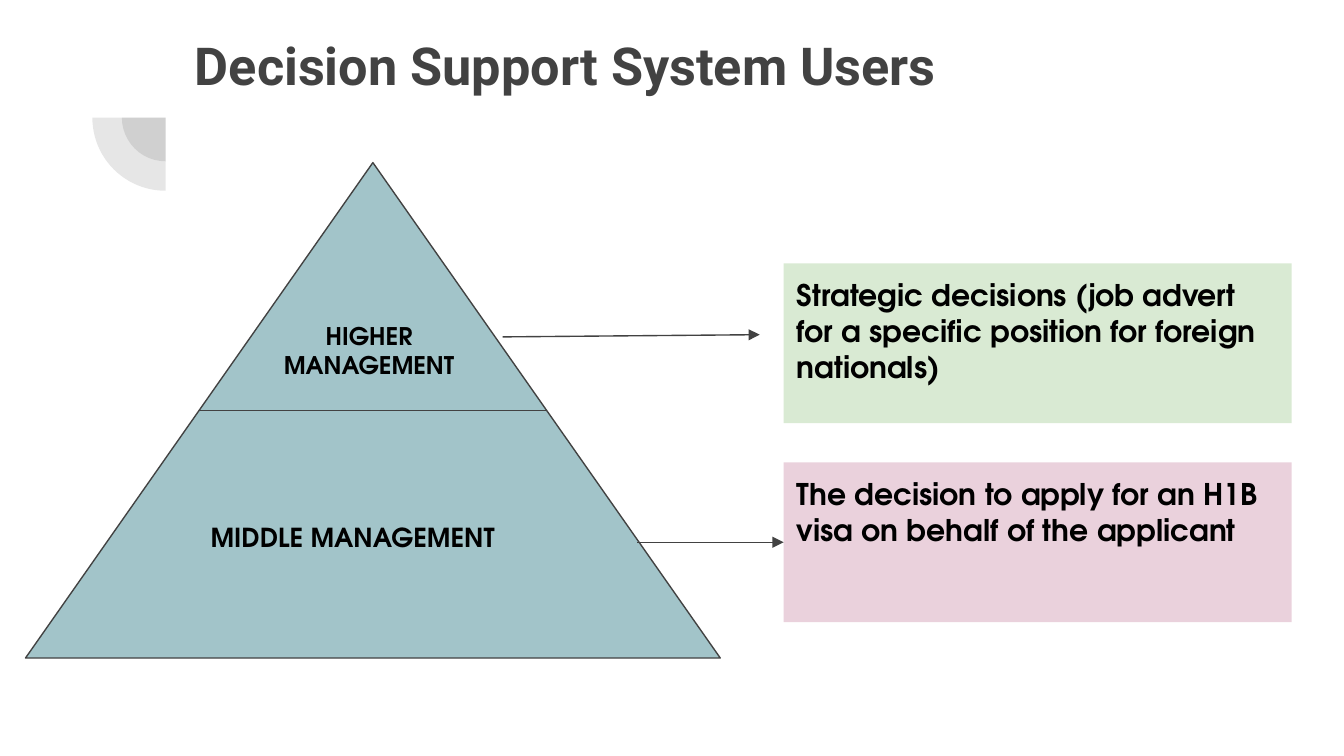
from lxml.etree import SubElement as Sub
from pptx import Presentation
from pptx.dml.color import RGBColor as RGB
from pptx.enum.shapes import MSO_CONNECTOR as Conn, MSO_SHAPE as Kind
from pptx.enum.text import MSO_ANCHOR as Anchor, MSO_AUTO_SIZE as Fit, PP_ALIGN as Align
from pptx.oxml.ns import qn
from pptx.util import Pt

HEX = {"ink": "424242", "text": "000000", "teal": "A2C4C9",
       "green": "D9EAD3", "pink": "EAD1DC"}
BODY, HEAD = "TeX Gyre Adventor", "Roboto"


class Deck:
    def __init__(self, wide, high):
        self.prs = Presentation()
        self.prs.slide_width, self.prs.slide_height = Pt(wide), Pt(high)
        self.slide = self.prs.slides.add_slide(self.prs.slide_layouts[5])

    def color(self, name):
        return RGB.from_string(HEX[name])

    def text(self, shape, words, size, font=BODY, ink="text", align=Align.LEFT):
        frame = shape.text_frame
        frame.word_wrap, frame.auto_size = True, Fit.NONE
        frame.vertical_anchor = Anchor.TOP
        frame.margin_left = frame.margin_right = Pt(7.2)
        frame.margin_top = frame.margin_bottom = Pt(7.2)
        para = frame.paragraphs[0]
        para.alignment = align
        run = para.add_run()
        run.text = words
        run.font.name, run.font.size, run.font.bold = font, Pt(size), True
        run.font.color.rgb = self.color(ink)

    def title(self, words, x, y, w, h):
        shape = self.slide.shapes.title
        shape.left, shape.top, shape.width, shape.height = map(Pt, (x, y, w, h))
        self.text(shape, words, 28, HEAD, "ink")

    def shape(self, kind, x, y, w, h, fill, line=None):
        shape = self.slide.shapes.add_shape(kind, *map(Pt, (x, y, w, h)))
        shape.shadow.inherit = False
        shape.fill.solid()
        shape.fill.fore_color.rgb = self.color(fill)
        if line:
            shape.line.color.rgb = self.color(line)
            shape.line.width = Pt(0.75)
        else:
            shape.line.fill.background()
        return shape

    def pie(self, x, y, r):
        """Draw a faint lower-left quarter disc centred on x, y."""
        pie = self.shape(Kind.PIE, x - r, y - r, 2 * r, 2 * r, "ink")
        pie.rotation = 270
        pie.adjustments[0], pie.adjustments[1] = 108, 162
        tint = pie._element.spPr.find(qn("a:solidFill"))[0]
        Sub(tint, qn("a:alpha"), val="13000")

    def label(self, words, x, y, w, h, size, align=Align.LEFT):
        box = self.slide.shapes.add_textbox(*map(Pt, (x, y, w, h)))
        self.text(box, words, size, align=align)
        return box

    def card(self, words, x, y, w, h, fill):
        box = self.shape(Kind.RECTANGLE, x, y, w, h, fill)
        self.text(box, words, 16)
        return box

    def line(self, x1, y1, x2, y2, arrow=False):
        line = self.slide.shapes.add_connector(
            Conn.STRAIGHT, *map(Pt, (x1, y1, x2, y2)))
        line.line.color.rgb = self.color("ink")
        line.line.width = Pt(0.75)
        props = line._element.spPr
        if arrow:
            Sub(props.find(qn("a:ln")), qn("a:tailEnd"), type="triangle")
        Sub(props, qn("a:effectLst"))
        return line


def main():
    deck = Deck(720, 405)
    deck.title("Decision Support System Users", 97.2, 10.8, 594.7, 78.5)

    # Corner ornament
    for r in (23.4, 39.2):
        deck.pie(88.7, 63, r)

    # Pyramid, split at half its height
    x, y, w, h = 13.7, 87.1, 372.2, 265.4
    deck.shape(Kind.ISOSCELES_TRIANGLE, x, y, w, h, "teal", "ink")
    deck.line(x + w / 4, y + h / 2, x + w * 3 / 4, y + h / 2)
    mid = deck.label("MIDDLE MANAGEMENT", 105.8, 272, 235.5, 37, 14)
    top = deck.label("HIGHER MANAGEMENT", 126, 165, 143.3, 31, 13, Align.CENTER)

    # Decision cards
    left, wide, high = 419.8, 272.2, 85.6
    deck.card("Strategic decisions (job advert for a specific position "
              "for foreign nationals)", left, 141.1, wide, high, "green")
    visa = deck.card("The decision to apply for an H1B visa on behalf of "
                     "the applicant", left, 247.7, wide, high, "pink")

    # Arrows from each level to its card
    arrow = deck.line(269.3, 180.5, 407, 179.3, True)
    arrow.begin_connect(top, 3)
    arrow = deck.line(341.3, 290.5, left, 290.5, True)
    arrow.begin_connect(mid, 3)
    arrow.end_connect(visa, 1)

    deck.prs.save("out.pptx")


if __name__ == "__main__":
    main()
